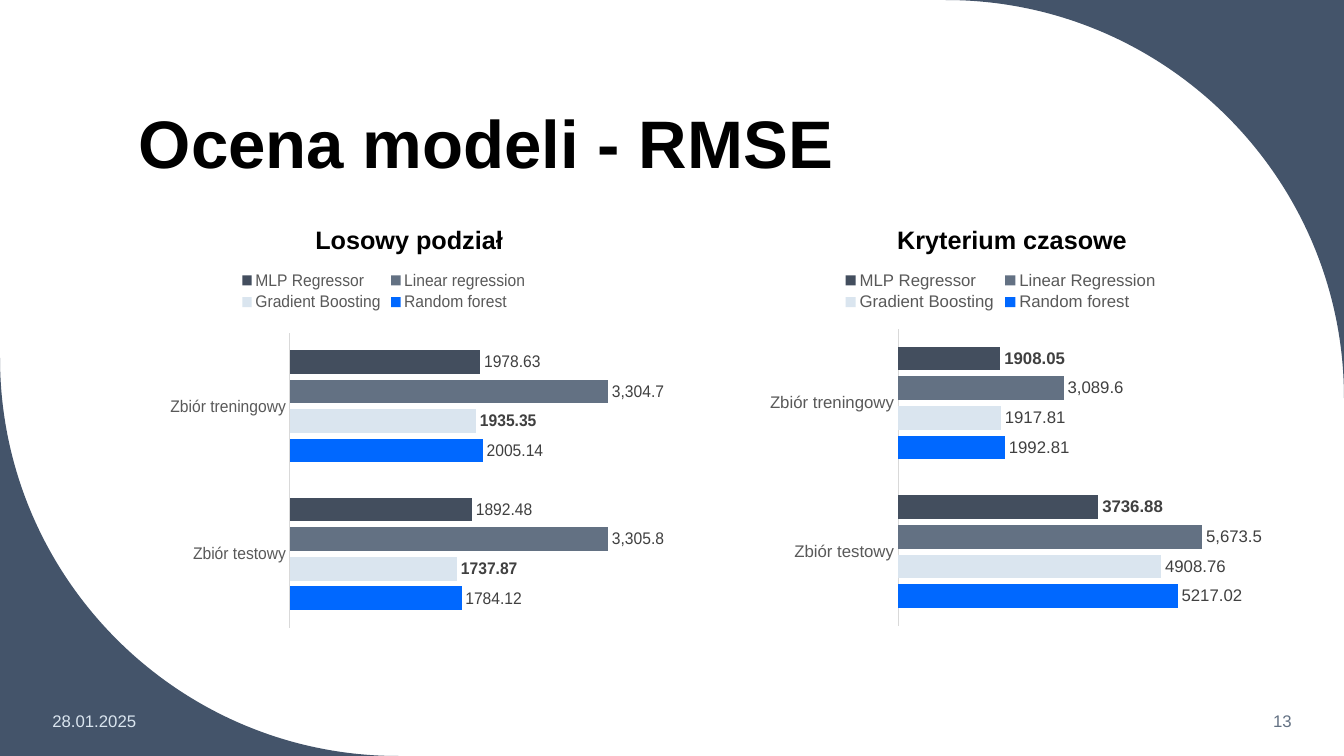
from lxml.etree import SubElement
from pptx import Presentation
from pptx.chart.data import CategoryChartData
from pptx.dml.color import RGBColor
from pptx.enum.chart import (XL_CHART_TYPE, XL_LABEL_POSITION,
                             XL_LEGEND_POSITION, XL_TICK_LABEL_POSITION,
                             XL_TICK_MARK)
from pptx.enum.text import MSO_ANCHOR, MSO_AUTO_SIZE, PP_ALIGN
from pptx.oxml.ns import qn
from pptx.util import Inches, Pt

BLACK = RGBColor(0x00, 0x00, 0x00)
NAVY = RGBColor(0x44, 0x54, 0x6A)
BLUE = RGBColor(0x00, 0x68, 0xFF)
PALE = RGBColor(0xDA, 0xE5, 0xEF)
SLATE = RGBColor(0x63, 0x71, 0x83)
DARK = RGBColor(0x43, 0x4E, 0x5E)
GREY = RGBColor(0x59, 0x59, 0x59)
INK = RGBColor(0x40, 0x40, 0x40)
RULE = RGBColor(0xD9, 0xD9, 0xD9)

SETS = ["Zbiór testowy", "Zbiór treningowy"]
FILLS = [BLUE, PALE, SLATE, DARK]
FORMATS = ["General", "General", "#,##0.0", "General"]


class Deck:
    """Places elements by percent of the slide's width and height."""

    face = "Arial"
    small = 12

    def __init__(self):
        self.show = Presentation()
        self.show.slide_width = Inches(13.33)
        self.show.slide_height = Inches(7.5)
        self.slide = self.show.slides.add_slide(self.show.slide_layouts[6])
        self.shapes = self.slide.shapes

    def area(self, left, top, width, height):
        wide, high = self.show.slide_width, self.show.slide_height
        return [int(share * side / 100) for share, side in
                zip((left, top, width, height), (wide, high, wide, high))]

    def style(self, font, size, color, bold=False):
        font.name = self.face
        font.size = Pt(size)
        font.color.rgb = color
        font.bold = bold

    def corner(self, sign):
        """Fill outside a quarter circle: 1 is top right, -1 bottom left."""
        tip_x = self.show.slide_width if sign > 0 else 0
        tip_y = 0 if sign > 0 else self.show.slide_height
        reach = sign * Inches(3.95)
        bend = sign * Inches(1.77)
        pen = self.shapes.build_freeform(tip_x, tip_y)
        pen.add_line_segments([(tip_x - reach, tip_y), (tip_x - bend, tip_y),
                               (tip_x, tip_y + bend), (tip_x, tip_y + reach)])
        shape = pen.convert_to_shape()
        shape.shadow.inherit = False
        shape.fill.solid()
        shape.fill.fore_color.rgb = NAVY
        shape.line.fill.background()

        # The last three points become one Bezier curve.
        lines = list(shape.element.iter(qn("a:lnTo")))[1:]
        curve = SubElement(lines[0].getparent(), qn("a:cubicBezTo"))
        lines[0].addprevious(curve)
        for line in lines:
            curve.append(line[0])
            line.getparent().remove(line)

    def text(self, words, spot, size, color, bold=False, wrap=True,
             anchor=MSO_ANCHOR.MIDDLE, align=PP_ALIGN.LEFT, space=1.0):
        frame = self.shapes.add_textbox(*self.area(*spot)).text_frame
        frame.word_wrap = wrap
        frame.vertical_anchor = anchor
        if not wrap:
            frame.auto_size = MSO_AUTO_SIZE.SHAPE_TO_FIT_TEXT
        line = frame.paragraphs[0]
        line.text = words
        line.alignment = align
        line.line_spacing = space
        self.style(line.font, size, color, bold)

    def bars(self, spot, plot, rows, best):
        """Draw clustered bars; best names the series with bold labels."""
        data = CategoryChartData()
        data.categories = SETS
        for name, values in rows:
            data.add_series(name, values)
        chart = self.shapes.add_chart(XL_CHART_TYPE.BAR_CLUSTERED,
                                      *self.area(*spot), data).chart
        self.style(chart.font, 10, BLACK)
        chart.has_title = False
        chart.has_legend = True
        chart.legend.position = XL_LEGEND_POSITION.TOP
        chart.legend.include_in_layout = False
        self.style(chart.legend.font, self.small, GREY)

        chart.value_axis.visible = False
        chart.value_axis.has_major_gridlines = False
        axis = chart.category_axis
        axis.major_tick_mark = XL_TICK_MARK.NONE
        axis.minor_tick_mark = XL_TICK_MARK.NONE
        axis.tick_label_position = XL_TICK_LABEL_POSITION.NEXT_TO_AXIS
        axis.format.line.color.rgb = RULE
        axis.format.line.width = Pt(0.75)
        self.style(axis.tick_labels.font, self.small, GREY)

        group = chart.plots[0]
        group.gap_width = 150
        group.overlap = -25
        group.vary_by_categories = False
        for series, fill, form in zip(group.series, FILLS, FORMATS):
            series.format.fill.solid()
            series.format.fill.fore_color.rgb = fill
            labels = series.data_labels
            labels.show_value = True
            labels.position = XL_LABEL_POSITION.OUTSIDE_END
            labels.number_format = form
            labels.number_format_is_linked = False
            self.style(labels.font, self.small, INK, series.name == best)
        self.frame(chart, plot)

    def frame(self, chart, plot):
        """Fix the inner plot area in percent of the chart."""
        root = chart.element.find(".//" + qn("c:plotArea"))
        for old in root.findall(qn("c:layout")):
            root.remove(old)
        layout = SubElement(root, qn("c:layout"))
        root.insert(0, layout)
        manual = SubElement(layout, qn("c:manualLayout"))
        shares = [round(part / 100, 4) for part in plot]
        for tag, value in [("layoutTarget", "inner"), ("xMode", "edge"),
                           ("yMode", "edge"), *zip("xywh", shares)]:
            SubElement(manual, qn("c:" + tag)).set("val", str(value))


def main():
    deck = Deck()
    for sign in (1, -1):
        deck.corner(sign)
    deck.text("Ocena modeli - RMSE", (9.6, 5.6, 80.2, 19.33), 48, BLACK,
              bold=True, anchor=MSO_ANCHOR.BOTTOM, space=0.9)

    wide, high, top = 39.08, 51.33, 34.4
    deck.bars((10.35, top, wide, high), (30.8, 18.7, 68.9, 76.1),
              [("Random forest", (1784.12, 2005.14)),
               ("Gradient Boosting", (1737.87, 1935.35)),
               ("Linear regression", (3305.8, 3304.7)),
               ("MLP Regressor", (1892.48, 1978.63))],
              "Gradient Boosting")
    deck.bars((54.91, top, wide, high), (30.5, 17.7, 61.2, 76.6),
              [("Random forest", (5217.02, 1992.81)),
               ("Gradient Boosting", (4908.76, 1917.81)),
               ("Linear Regression", (5673.5, 3089.6)),
               ("MLP Regressor", (3736.88, 1908.05))],
              "MLP Regressor")
    for words, left, width in (("Losowy podział", 22.73, 15.6),
                               ("Kryterium czasowe", 66.02, 18.75)):
        deck.text(words, (left, 29.07, width, 5.33), 18, BLACK, bold=True,
                  wrap=False, anchor=MSO_ANCHOR.TOP)

    deck.text("28.01.2025", (3.15, 92.67, 13.95, 5.33), deck.small, PALE)
    deck.text("13", (83.27, 92.67, 13.58, 5.33), deck.small, SLATE,
              align=PP_ALIGN.RIGHT)
    deck.show.save("out.pptx")


if __name__ == "__main__":
    main()
